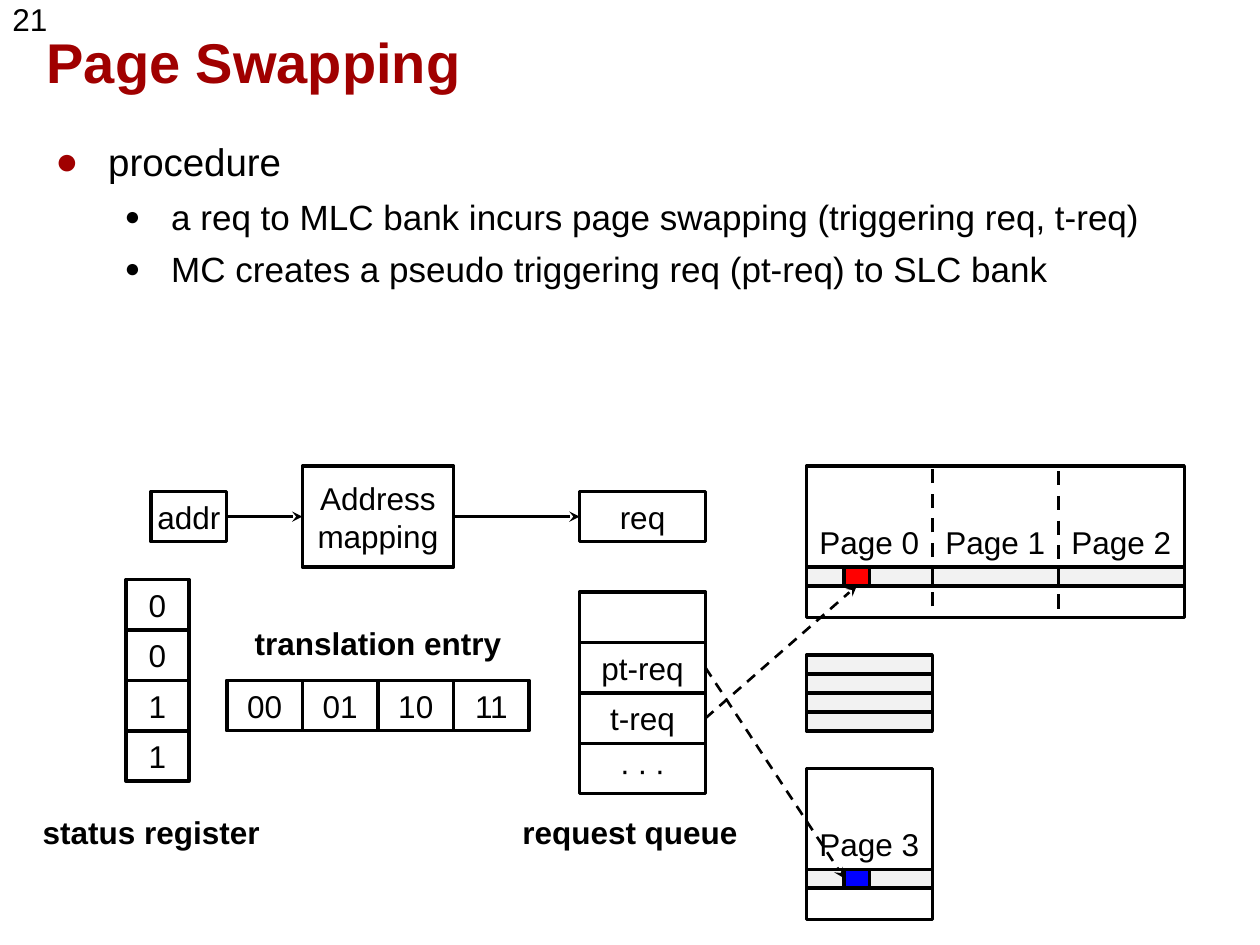
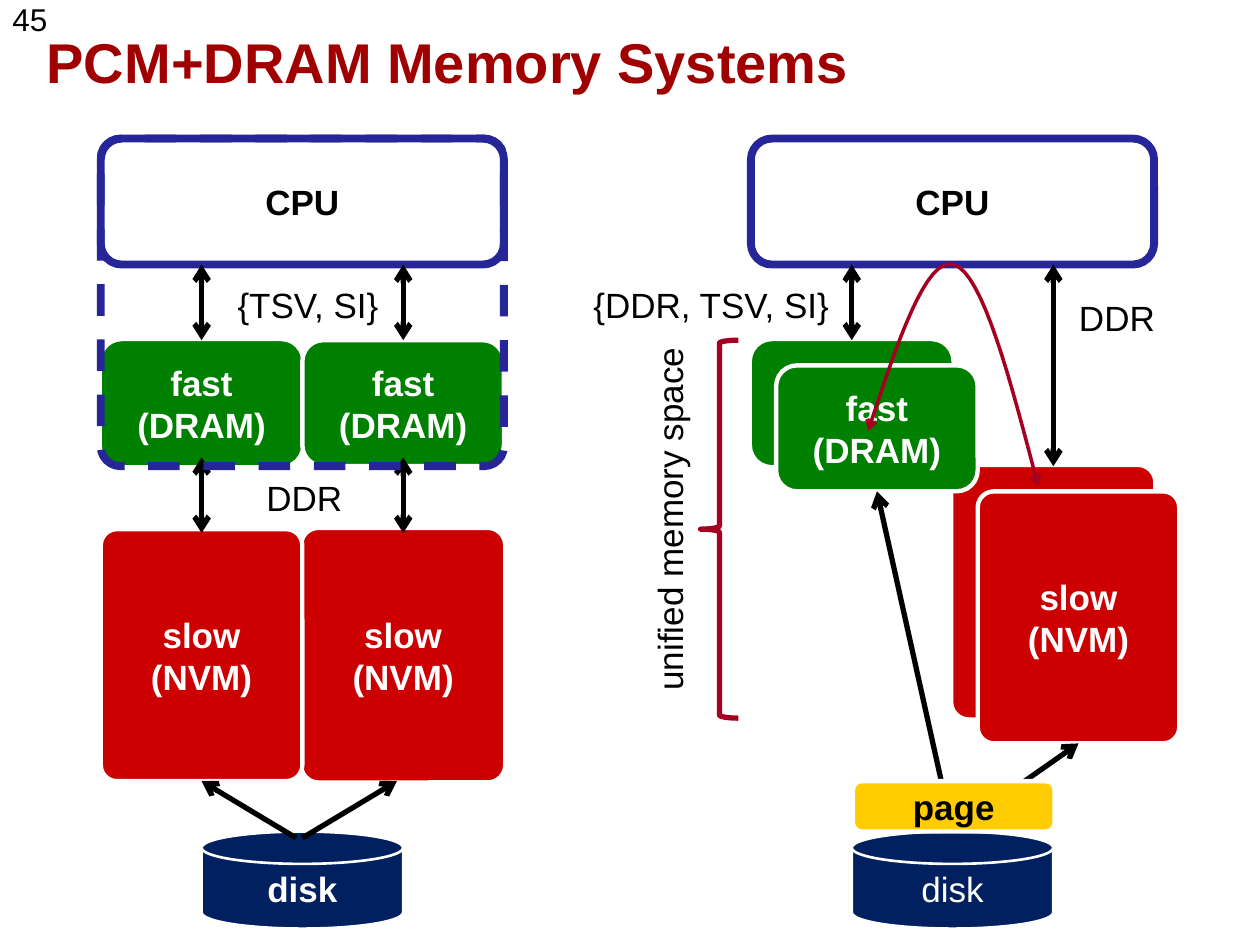
from dataclasses import dataclass
from typing import Optional, Union

from lxml.etree import SubElement
from pptx import Presentation
from pptx.dml.color import RGBColor
from pptx.enum.dml import MSO_LINE_DASH_STYLE as Dash
from pptx.enum.shapes import MSO_CONNECTOR as Connector, MSO_SHAPE as Shape
from pptx.enum.text import MSO_ANCHOR as Anchor, PP_ALIGN as Align
from pptx.oxml.ns import qn
from pptx.util import Cm, Pt

FONT = "Arial"
BLACK, WHITE = "000000", "FFFFFF"
TITLE_RED, SHADOW_GRAY, ROW_GRAY = "A00000", "B2B2B2", "F2F2F2"
CPU_BLUE, DISK_BLUE, PAGE_YELLOW = "262699", "002060", "FFCC00"
FAST_GREEN, SLOW_RED, BRACE_RED = "008000", "CC0000", "A50021"
SLOW_CORNER = 0.08


@dataclass
class Block:
    """A preset shape with centred text; places are in inches."""
    left: float
    top: float
    width: float
    height: float
    text: str = ""
    fill: Optional[str] = None
    line: str = BLACK
    weight: float = 2
    dashed: bool = False
    kind: Shape = Shape.RECTANGLE
    corner: Optional[float] = None
    color: str = BLACK
    size: int = 18
    bold: bool = False


@dataclass
class Label:
    left: float
    top: float
    width: float
    height: float
    text: str
    size: int = 18
    bold: bool = False
    rotation: int = 0


@dataclass
class Arrow:
    start: tuple[float, float]
    end: tuple[float, float]
    weight: float = 3
    head: Optional[str] = "arrow"
    tail: Optional[str] = "arrow"
    dashed: bool = False


@dataclass
class Curve:
    """Cubic arcs: a start point, then three points for each arc."""
    points: list[tuple[float, float]]
    color: str
    weight: float


Item = Union[Block, Label, Arrow, Curve]


def length(inches: float) -> Cm:
    return Cm(inches * 2.54)


def rgb(color: str) -> RGBColor:
    return RGBColor.from_string(color)


def style_text(frame, size: int, color: str = BLACK, bold: bool = False) -> None:
    for para in frame.paragraphs:
        for span in para.runs:
            font = span.font
            font.name, font.size, font.bold = FONT, Pt(size), bold
            font.color.rgb = rgb(color)


def set_frame(frame, anchor=Anchor.MIDDLE, wrap: bool = True) -> None:
    frame.margin_left = frame.margin_right = 0
    frame.margin_top = frame.margin_bottom = 0
    frame.vertical_anchor = anchor
    frame.word_wrap = wrap


def style_line(line, color: str, weight: float, dashed: bool = False) -> None:
    line.color.rgb = rgb(color)
    line.width = Pt(weight)
    if dashed:
        line.dash_style = Dash.DASH


def add_arrowheads(shape, head: Optional[str], tail: Optional[str]) -> None:
    outline = shape._element.spPr.find(qn("a:ln"))
    for tag, style in (("a:headEnd", head), ("a:tailEnd", tail)):
        if style:
            SubElement(outline, qn(tag), type=style)


def draw_block(page, block: Block) -> None:
    box = page.shapes.add_shape(block.kind, length(block.left), length(block.top),
                                length(block.width), length(block.height))
    box.shadow.inherit = False
    if block.corner is not None:
        box.adjustments[0] = block.corner
    if block.fill:
        box.fill.solid()
        box.fill.fore_color.rgb = rgb(block.fill)
    else:
        box.fill.background()
    style_line(box.line, block.line, block.weight, block.dashed)
    if block.text:
        set_frame(box.text_frame)
        box.text_frame.text = block.text
        for para in box.text_frame.paragraphs:
            para.alignment = Align.CENTER
        style_text(box.text_frame, block.size, block.color, block.bold)


def draw_label(page, label: Label) -> None:
    box = page.shapes.add_textbox(length(label.left), length(label.top),
                                  length(label.width), length(label.height))
    box.rotation = label.rotation
    set_frame(box.text_frame)
    box.text_frame.text = label.text
    box.text_frame.paragraphs[0].alignment = Align.CENTER
    style_text(box.text_frame, label.size, bold=label.bold)


def draw_arrow(page, arrow: Arrow) -> None:
    ends = [length(value) for value in (*arrow.start, *arrow.end)]
    connector = page.shapes.add_connector(Connector.STRAIGHT, *ends)
    style_line(connector.line, BLACK, arrow.weight, arrow.dashed)
    add_arrowheads(connector, arrow.head, arrow.tail)
    SubElement(connector._element.spPr, qn("a:effectLst"))


def draw_curve(page, curve: Curve, steps: int = 16) -> None:
    points = [curve.points[0]]
    for first in range(0, len(curve.points) - 1, 3):
        corners = curve.points[first:first + 4]
        for step in range(1, steps + 1):
            t = step / steps
            weights = ((1 - t) ** 3, 3 * t * (1 - t) ** 2, 3 * t * t * (1 - t), t ** 3)
            points.append(tuple(sum(w * corner[axis] for w, corner in zip(weights, corners))
                                for axis in (0, 1)))
    places = [(length(x), length(y)) for x, y in points]
    builder = page.shapes.build_freeform(*places[0])
    builder.add_line_segments(places[1:], close=False)
    path = builder.convert_to_shape()
    path.shadow.inherit = False
    path.fill.background()
    style_line(path.line, curve.color, curve.weight)
    add_arrowheads(path, "arrow", "arrow")


PAINTERS = {Block: draw_block, Label: draw_label, Arrow: draw_arrow, Curve: draw_curve}


def draw(page, items: list[Item]) -> None:
    for item in items:
        PAINTERS[type(item)](page, item)


def add_text_shadow(span) -> None:
    effects = span._r.get_or_add_rPr().makeelement(qn("a:effectLst"), {})
    shadow = SubElement(effects, qn("a:outerShdw"), dist="38100", dir="2700000")
    SubElement(shadow, qn("a:srgbClr"), val=SHADOW_GRAY)
    span._r.rPr.find(qn("a:solidFill")).addnext(effects)


def add_page(deck, title: str, number: str):
    page = deck.slides.add_slide(deck.slide_layouts[5])
    heading = page.shapes.title
    heading.left, heading.top = length(0.37), length(0.15)
    heading.width, heading.height = length(9.3), length(0.74)
    set_frame(heading.text_frame)
    heading.text_frame.text = title
    para = heading.text_frame.paragraphs[0]
    para.alignment, para.line_spacing = Align.LEFT, 0.87
    style_text(heading.text_frame, 32, TITLE_RED, bold=True)
    add_text_shadow(para.runs[0])

    corner = page.shapes.add_textbox(0, 0, length(0.57), length(0.36))
    corner.text_frame.text = number
    corner.text_frame.paragraphs[0].line_spacing = 0.85
    style_text(corner.text_frame, 18)
    return page


def add_bullets(page, bullets: list[tuple[int, str]]) -> None:
    box = page.shapes.add_textbox(length(0.34), length(1.05), length(9.25), length(1.5))
    frame = box.text_frame
    frame.word_wrap = True
    frame.text = "\n".join(text for _, text in bullets)
    style_text(frame, 20)
    for para, (level, _) in zip(frame.paragraphs, bullets):
        indent, hang, color, scale = ((0.42, 0.42, TITLE_RED, 100),
                                      (0.92, 0.37, BLACK, 75))[level]
        para.level = level
        para.space_before = Pt(6 if level else 12)
        para.runs[0].font.size = Pt(20 if level else 22)
        props = para._p.get_or_add_pPr()
        props.set("marL", str(length(indent)))
        props.set("indent", str(-length(hang)))
        SubElement(SubElement(props, qn("a:buClr")), qn("a:srgbClr"), val=color)
        SubElement(props, qn("a:buSzPct"), val=str(scale * 1000))
        SubElement(props, qn("a:buFont"), typeface=FONT)
        SubElement(props, qn("a:buChar"), char="●")


def stack(left: float, top: float, width: float, texts: list[str]) -> list[Item]:
    return [Block(left, top + 0.4 * row, width, 0.4, text) for row, text in enumerate(texts)]


def build_swapping(deck) -> None:
    page = add_page(deck, "Page Swapping", "21")
    add_bullets(page, [
        (0, "procedure"),
        (1, "a req to MLC bank incurs page swapping (triggering req, t-req)"),
        (1, "MC creates a pseudo triggering req (pt-req) to SLC bank"),
    ])
    bank_left, row_height = 6.4, 0.15
    wide_bank = [Block(bank_left, 3.7, 3, 1.2), Block(bank_left + 1, 3.7, 1, 1.2, dashed=True)]
    places = [(bank_left + column, 4.5) for column in range(3)] + [(bank_left, 6.9)]
    page_rows = [Block(left, top, 1, row_height, fill=ROW_GRAY) for left, top in places]
    page_names = [Label(left, top - 0.4, 1, 0.4, f"Page {index}")
                  for index, (left, top) in enumerate(places)]
    buffer_rows = [Block(bank_left, 5.2 + row_height * row, 1, row_height, fill=ROW_GRAY)
                   for row in range(4)]
    swapped = [Block(bank_left + 0.3, top, 0.2, row_height, fill=fill)
               for top, fill in ((4.5, "FF0000"), (6.9, "0000FF"))]
    draw(page, wide_bank + [Block(bank_left, 6.1, 1, 1.2)] + page_rows + page_names
         + buffer_rows + swapped)

    draw(page, stack(4.6, 4.7, 1, ["", "pt-req", "t-req", "∙ ∙ ∙"]))
    draw(page, stack(1, 4.6, 0.5, ["0", "0", "1", "1"]))
    draw(page, [Block(1.8 + 0.6 * index, 5.4, 0.6, 0.4, f"{index:02b}") for index in range(4)])
    draw(page, [
        Label(0.2, 6.4, 2, 0.4, "status register", bold=True),
        Label(1.8, 4.9, 2.4, 0.4, "translation entry", bold=True),
        Label(4, 6.4, 2, 0.4, "request queue", bold=True),
        Block(1.2, 3.9, 0.6, 0.4, "addr"),
        Block(2.4, 3.7, 1.2, 0.8, "Address mapping"),
        Block(4.6, 3.9, 1, 0.4, "req"),
    ])
    for start, end, dashed in (((1.8, 4.1), (2.4, 4.1), False),
                               ((3.6, 4.1), (4.6, 4.1), False),
                               ((5.6, 5.7), (6.8, 4.65), True),
                               ((5.6, 5.3), (6.7, 6.97), True)):
        draw_arrow(page, Arrow(start, end, 1.5, None, "stealth", dashed))


def rounded(left: float, top: float, width: float, height: float, text: str = "",
            fill: Optional[str] = None, line: str = WHITE, weight: float = 2.5,
            color: str = WHITE, **extra) -> Block:
    return Block(left, top, width, height, text, fill, line, weight, color=color,
                 kind=Shape.ROUNDED_RECTANGLE, size=20, bold=True, **extra)


def cpu(left: float) -> Block:
    return rounded(left, 1.1, 3.2, 1, "CPU", line=CPU_BLUE, weight=4.5, color=BLACK)


def fast(left: float, top: float, text: str = "fast\n(DRAM)", weight: float = 2.5) -> Block:
    return rounded(left, top, 1.6, 1, text, FAST_GREEN, weight=weight)


def slow(left: float, top: float, text: str = "slow\n(NVM)", weight: float = 2.5) -> Block:
    return rounded(left, top, 1.6, 2, text, SLOW_RED, weight=weight, corner=SLOW_CORNER)


def disk(left: float, bold: bool) -> Block:
    return Block(left, 6.6, 1.6, 0.77, "disk", DISK_BLUE, WHITE, 1.5, color=WHITE,
                 kind=Shape.FLOWCHART_MAGNETIC_DISK, size=20, bold=bold)


def vertical(x: float, top: float, bottom: float) -> Arrow:
    return Arrow((x, top), (x, bottom))


def build_memory(deck) -> None:
    page = add_page(deck, "PCM+DRAM Memory Systems", "45")
    draw(page, [
        cpu(0.8), fast(0.8, 2.7, weight=1.25), slow(2.4, 4.2, weight=1),
        Label(2.01, 3.73, 0.81, 0.44, "DDR", 20),
        Label(1.78, 2.2, 1.33, 0.44, "{TSV, SI}", 20),
        fast(2.4, 2.7), slow(0.8, 4.2), disk(1.6, bold=True),
        *[vertical(x, top, top + 0.6) for top in (2.1, 3.63) for x in (1.6, 3.2)],
        Arrow((3.15, 6.2), (2.4, 6.65), tail=None),
        Arrow((1.6, 6.2), (2.35, 6.65), tail=None),
        rounded(0.8, 1.1, 3.2, 2.6, line=CPU_BLUE, weight=4.5, dashed=True, corner=0.06),
    ])
    draw(page, [
        cpu(5.96), fast(5.96, 2.7, "", 1.25), slow(7.56, 3.7, "", 1),
        vertical(6.76, 2.1, 2.7), vertical(8.36, 2.1, 3.7),
        Label(8.46, 2.3, 0.81, 0.44, "DDR", 20),
        Label(4.6, 2.2, 2.09, 0.44, "{DDR, TSV, SI}", 20),
        Block(5.56, 2.7, 0.3, 3, line=BRACE_RED, weight=3, kind=Shape.LEFT_BRACE),
        Label(3.84, 3.9, 2.94, 0.44, "unified memory space", 20, rotation=270),
        fast(6.16, 2.9), slow(7.76, 3.9), disk(6.76, bold=False),
        Arrow((6.96, 3.9), (7.56, 6.6), tail=None),
        Arrow((8.56, 5.9), (7.56, 6.6), tail=None),
        rounded(6.77, 6.2, 1.6, 0.4, "page", PAGE_YELLOW, color=BLACK),
        Curve([(6.89, 3.42), (7.12, 2.72), (7.35, 2.03), (7.57, 2.1),
               (7.8, 2.17), (8.02, 3.02), (8.24, 3.86)], BRACE_RED, 2),
    ])


def main() -> None:
    deck = Presentation()
    deck.slide_width, deck.slide_height = length(10), length(7.5)
    build_swapping(deck)
    build_memory(deck)
    deck.save("out.pptx")


if __name__ == "__main__":
    main()
